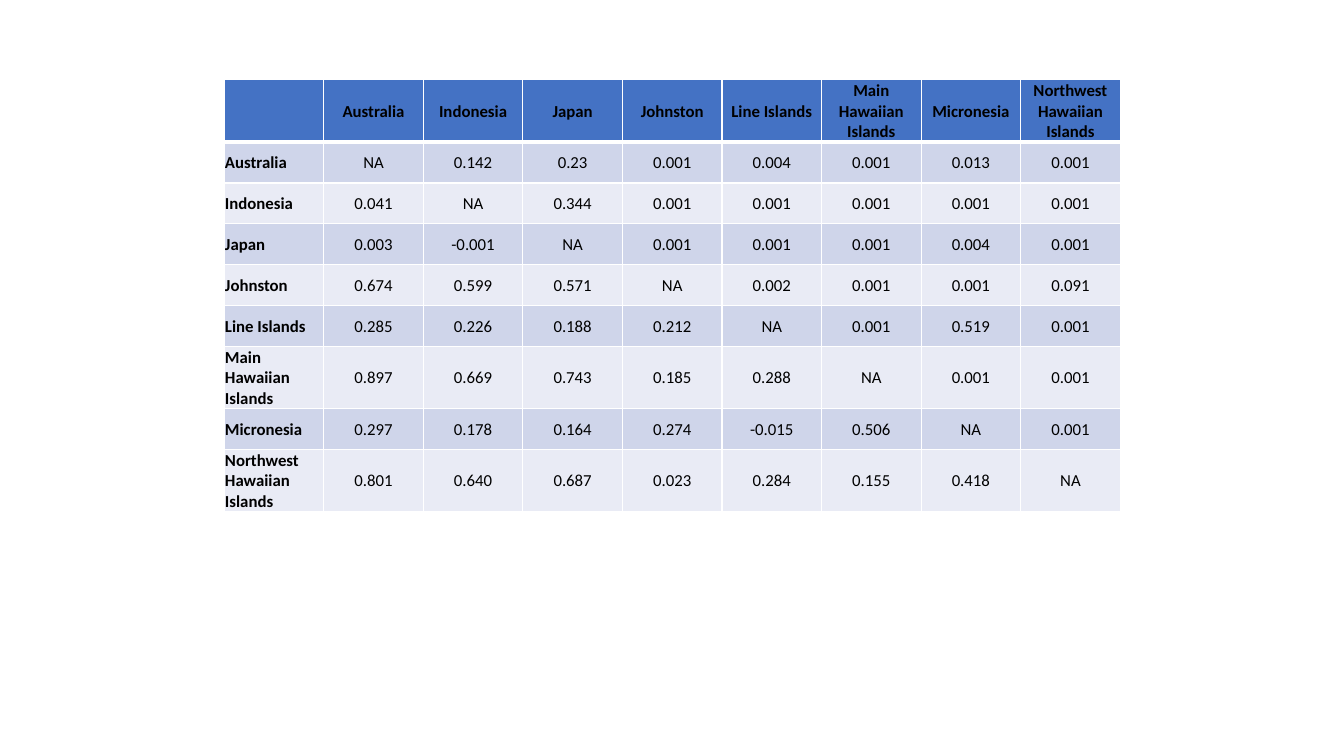
"""Build a slide with a table of pairwise values between Pacific regions."""
from lxml import etree
from pptx import Presentation
from pptx.dml.color import RGBColor
from pptx.enum.text import MSO_ANCHOR, PP_ALIGN
from pptx.oxml.ns import qn
from pptx.util import Cm, Pt

MIDDLE = MSO_ANCHOR.MIDDLE
LEFT, CENTER = PP_ALIGN.LEFT, PP_ALIGN.CENTER
HEADER_FILL, BAND_FILLS = "4472C4", ("E9EBF5", "CFD5EA")
TEXT_COLOR, BORDER_COLOR = "000000", "FFFFFF"
COLUMN_WIDTH, ROW_HEIGHT = Cm(2.51), Cm(1.03)
INSET = Cm(0.02)

REGIONS = ["Australia", "Indonesia", "Japan", "Johnston", "Line Islands",
           "Main Hawaiian Islands", "Micronesia", "Northwest Hawaiian Islands"]
VALUES = """
NA 0.142 0.23 0.001 0.004 0.001 0.013 0.001
0.041 NA 0.344 0.001 0.001 0.001 0.001 0.001
0.003 -0.001 NA 0.001 0.001 0.001 0.004 0.001
0.674 0.599 0.571 NA 0.002 0.001 0.001 0.091
0.285 0.226 0.188 0.212 NA 0.001 0.519 0.001
0.897 0.669 0.743 0.185 0.288 NA 0.001 0.001
0.297 0.178 0.164 0.274 -0.015 0.506 NA 0.001
0.801 0.640 0.687 0.023 0.284 0.155 0.418 NA
"""


def color(hex_string):
    return RGBColor.from_string(hex_string)


def add_border(cell, side, points):
    properties = cell._tc.get_or_add_tcPr()
    line = etree.SubElement(properties, qn(f"a:ln{side}"), w=str(Pt(points)))
    fill = etree.SubElement(line, qn("a:solidFill"))
    etree.SubElement(fill, qn("a:srgbClr"), val=BORDER_COLOR)


presentation = Presentation()
presentation.slide_width, presentation.slide_height = Cm(33.87), Cm(19.05)
slide = presentation.slides.add_slide(presentation.slide_layouts[6])

rows = [["", *REGIONS]]
for region, line in zip(REGIONS, VALUES.strip().splitlines()):
    rows.append([region, *line.split()])

size = len(rows)
table = slide.shapes.add_table(size, size, Cm(5.65), Cm(2.01),
                               COLUMN_WIDTH * size, ROW_HEIGHT * size).table
for column in table.columns:
    column.width = COLUMN_WIDTH

for row_index, row in enumerate(rows):
    table.rows[row_index].height = ROW_HEIGHT
    is_header = row_index == 0
    for column_index, text in enumerate(row):
        cell = table.cell(row_index, column_index)
        cell.text = text
        cell.vertical_anchor = MIDDLE
        cell.margin_left = cell.margin_right = cell.margin_top = INSET
        cell.margin_bottom = 0
        for side in "LRTB":
            thick = (is_header and side == "B") or (row_index == 1 and side == "T")
            add_border(cell, side, 3 if thick else 1)
        cell.fill.solid()
        cell.fill.fore_color.rgb = color(HEADER_FILL if is_header else BAND_FILLS[row_index % 2])

        paragraph = cell.text_frame.paragraphs[0]
        paragraph.alignment = LEFT if column_index == 0 else CENTER
        paragraph.font.name = "Calibri"
        paragraph.font.size = Pt(12)
        paragraph.font.bold = is_header or column_index == 0
        paragraph.font.color.rgb = color(TEXT_COLOR)

presentation.save("out.pptx")
